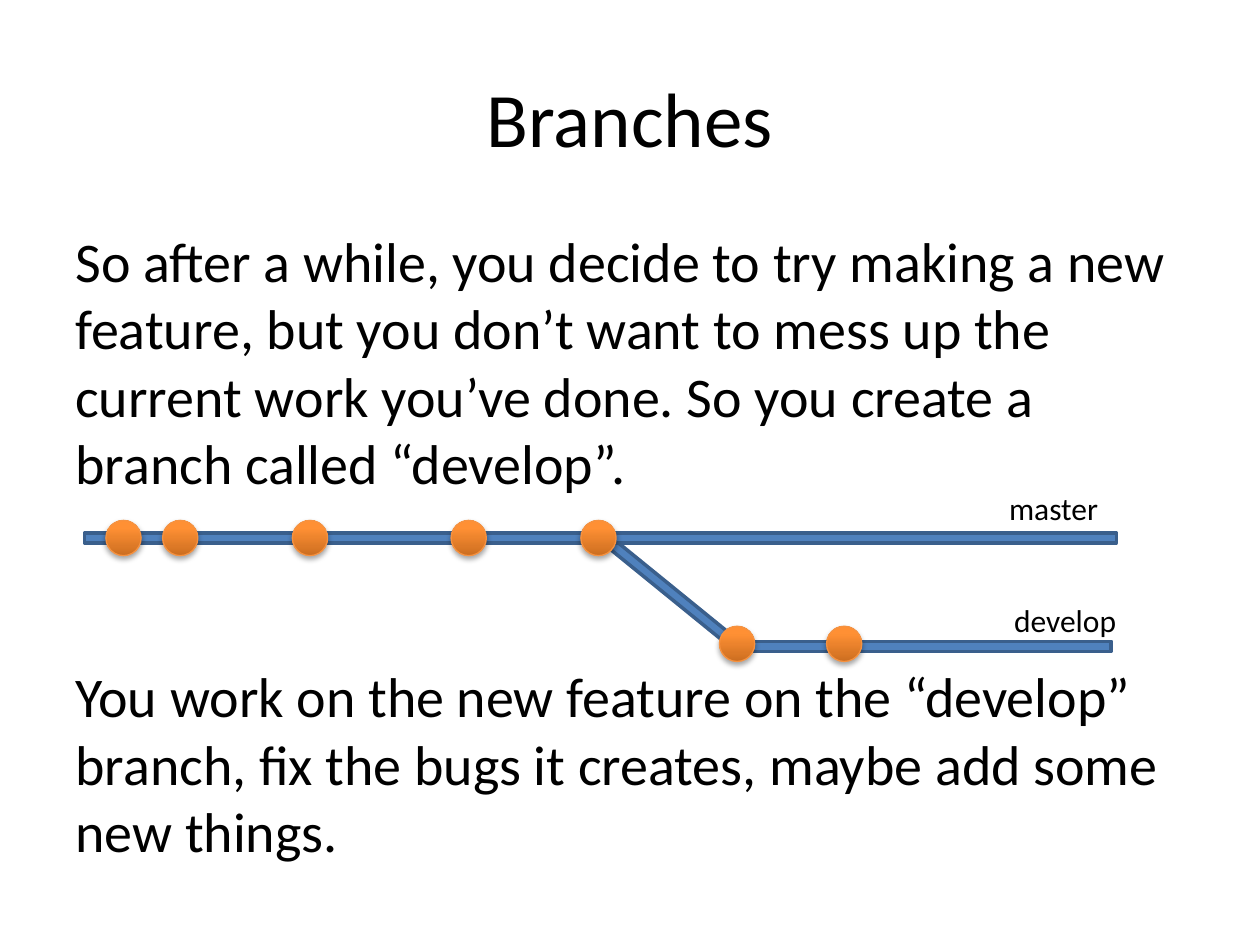
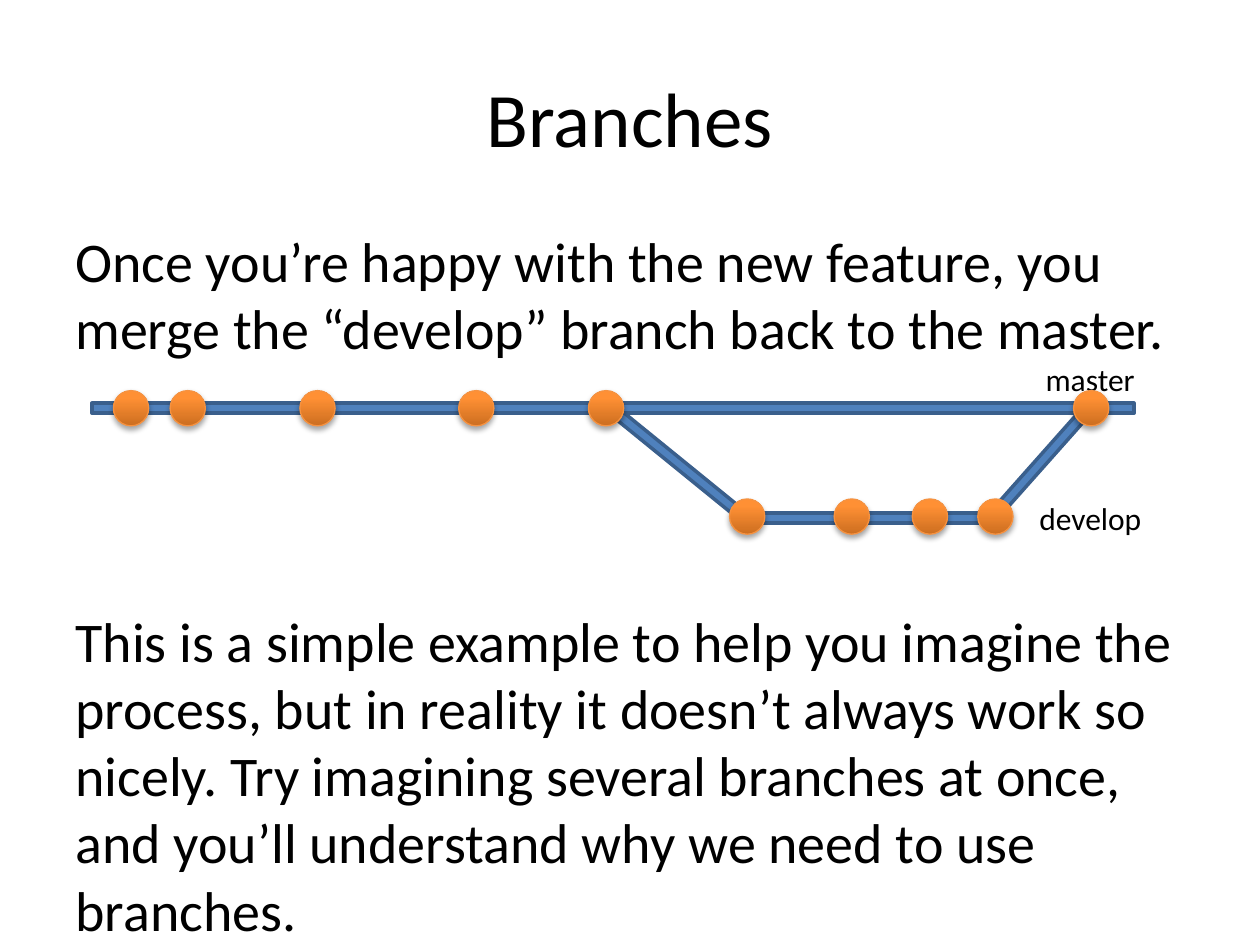
from lxml import etree
from pptx import Presentation
from pptx.dml.color import RGBColor
from pptx.enum.shapes import MSO_SHAPE as SHAPE
from pptx.enum.text import MSO_ANCHOR as ANCHOR, PP_ALIGN as ALIGN
from pptx.oxml import parse_xml
from pptx.util import Inches, Pt

COLORS = {
    "text": "000000",
    "branch": "4F81BD",
    "branch_edge": "3A5F8C",
    "commit_dark": "CC6E20",
    "commit_light": "FF9034",
    "commit_edge": "F69240",
    "shadow": "000000",
}
FONT = "Calibri"
BRANCH_HEIGHT = 0.08
COMMIT_SIZE = 0.28
DRAWING_NS = "http://schemas.openxmlformats.org/drawingml/2006/main"
COMMIT_SHADOW = (
    f'<a:outerShdw xmlns:a="{DRAWING_NS}" blurRad="{Pt(3.1)}" dist="{Pt(1.8)}" '
    f'dir="5400000" rotWithShape="0"><a:srgbClr val="{COLORS["shadow"]}">'
    '<a:alpha val="35000"/></a:srgbClr></a:outerShdw>'
)


def color(name):
    return RGBColor.from_string(COLORS[name])


def add_text(slide, box, paragraphs, size, wrap=True):
    """Add a text box; paragraphs holds (text, space before in points)."""
    frame = slide.shapes.add_textbox(*map(Inches, box)).text_frame
    frame.word_wrap = wrap
    for index, (text, space) in enumerate(paragraphs):
        paragraph = frame.paragraphs[0] if index == 0 else frame.add_paragraph()
        paragraph.text = text
        paragraph.space_before = Pt(space)
        paragraph.font.name = FONT
        paragraph.font.size = Pt(size)
        paragraph.font.color.rgb = color("text")
    return frame


# Content: branches are (left, top, width, rotation),
# commits are (top, lefts), labels are (text, left, top, width)
pages = [
    {
        "body": [
            ("So after a while, you decide to try making a new feature, but you "
             "don’t want to mess up the current work you’ve done. So you create "
             "a branch called “develop”.", 6.4),
            ("You work on the new feature on the “develop” branch, fix the bugs "
             "it creates, maybe add some new things.", 95),
        ],
        "branches": [
            (4.68, 4.68, 1.34, 39.1),
            (0.67, 4.23, 8.19, 0),
            (5.89, 5.09, 2.93, 0),
        ],
        "labels": [("master", 7.91, 3.83, 0.92), ("develop", 7.95, 4.72, 1.02)],
        "commits": [
            (4.13, [0.84, 1.29, 2.32, 3.58, 4.61]),
            (4.97, [5.71, 6.56]),
        ],
    },
    {
        "body": [
            ("Once you’re happy with the new feature, you merge the “develop” "
             "branch back to the master.", 6.4),
            ("This is a simple example to help you imagine the process, but in "
             "reality it doesn’t always work so nicely. Try imagining several "
             "branches at once, and you’ll understand why we need to use "
             "branches.", 140),
        ],
        "branches": [
            (4.74, 3.66, 1.34, 39.1),
            (0.73, 3.2, 8.27, 0),
            (5.95, 4.07, 2.02, 0),
            (7.67, 3.63, 1.18, 131.6),
        ],
        "labels": [("master", 8.2, 2.81, 0.92), ("develop", 8.15, 3.91, 1.02)],
        "commits": [
            (3.1, [0.9, 1.35, 2.38, 3.64, 4.67, 8.52]),
            (3.96, [5.79, 6.62, 7.24, 7.76]),
        ],
    },
]

deck = Presentation()
deck.slide_width = Inches(10)
deck.slide_height = Inches(7.5)

for page in pages:
    slide = deck.slides.add_slide(deck.slide_layouts[6])

    # Title and body
    title = add_text(slide, (0.5, 0.3, 9, 1.25), [("Branches", 0)], 44)
    title.vertical_anchor = ANCHOR.MIDDLE
    title.paragraphs[0].alignment = ALIGN.CENTER
    add_text(slide, (0.5, 1.75, 9, 5.35), page["body"], 32)

    # Branch bars
    for left, top, width, rotation in page["branches"]:
        branch = slide.shapes.add_shape(
            SHAPE.RECTANGLE, *map(Inches, (left, top, width, BRANCH_HEIGHT)))
        branch.rotation = rotation
        branch.shadow.inherit = False
        branch.fill.solid()
        branch.fill.fore_color.rgb = color("branch")
        branch.line.color.rgb = color("branch_edge")
        branch.line.width = Pt(2)

    # Branch names
    for name, left, top, width in page["labels"]:
        add_text(slide, (left, top, width, 0.4), [(name, 0)], 18, wrap=False)

    # Commits
    for top, lefts in page["commits"]:
        for left in lefts:
            commit = slide.shapes.add_shape(
                SHAPE.OVAL, *map(Inches, (left, top, COMMIT_SIZE, COMMIT_SIZE)))
            commit.fill.gradient()
            commit.fill.gradient_angle = 90
            dark, light = commit.fill.gradient_stops
            dark.color.rgb, dark.position = color("commit_dark"), 0
            light.color.rgb, light.position = color("commit_light"), 0.8
            commit.line.color.rgb = color("commit_edge")
            commit.line.width = Pt(0.75)
            commit.shadow.inherit = False
            effects = commit.element.spPr.find(etree.QName(DRAWING_NS, "effectLst"))
            effects.append(parse_xml(COMMIT_SHADOW))

deck.save("out.pptx")
